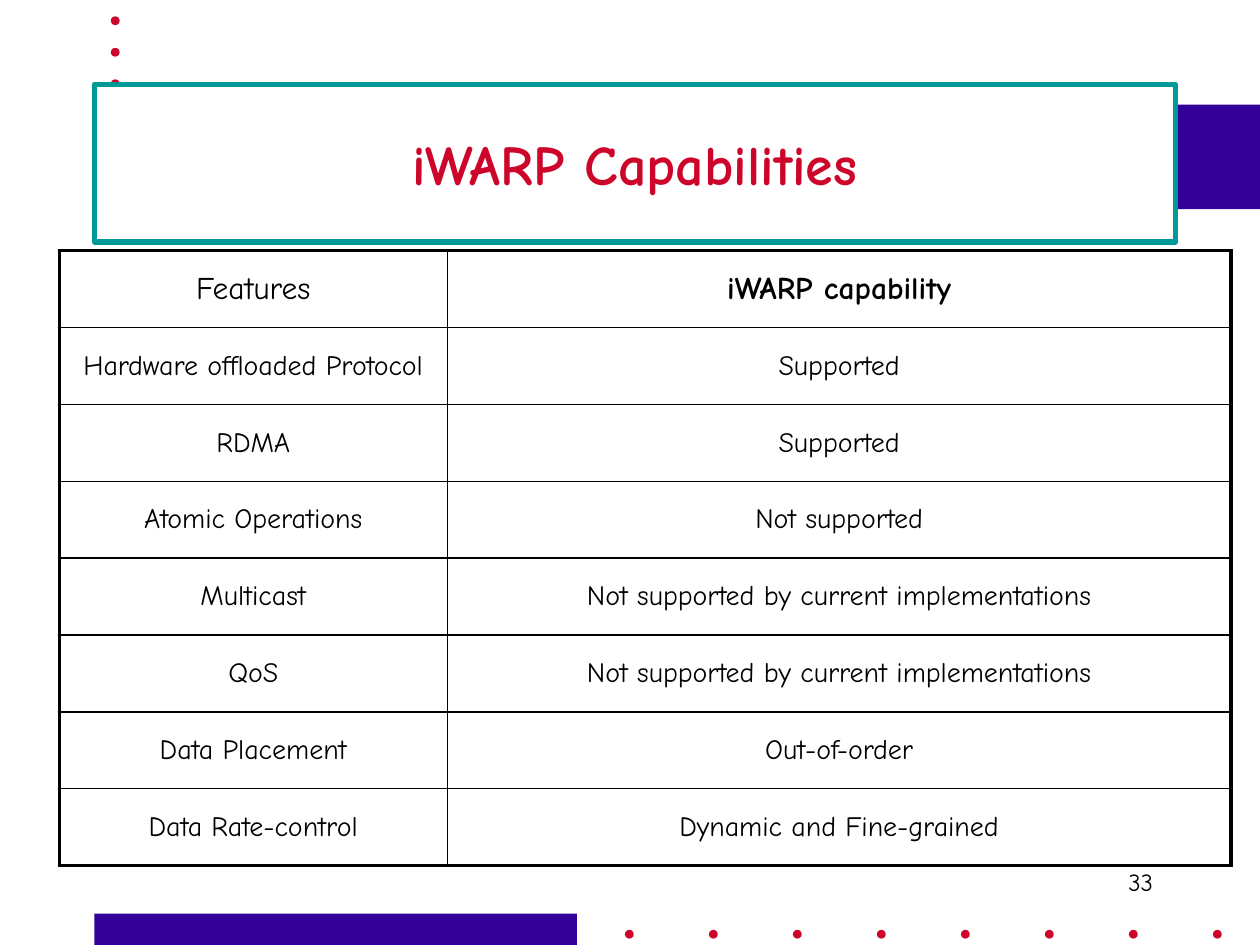
from lxml.etree import SubElement
from pptx import Presentation
from pptx.dml.color import RGBColor
from pptx.enum.shapes import MSO_SHAPE as Shape
from pptx.enum.text import MSO_ANCHOR as Anchor, PP_ALIGN as Align
from pptx.oxml.ns import qn
from pptx.util import Inches, Pt

INDIGO, RED, TEAL = "330099", "CD052B", "009999"
BLACK, WHITE = "000000", "FFFFFF"
FEATURES = [
    ("Features", "iWARP capability"),
    ("Hardware offloaded Protocol", "Supported"),
    ("RDMA", "Supported"),
    ("Atomic Operations", "Not supported"),
    ("Multicast", "Not supported by current implementations"),
    ("QoS", "Not supported by current implementations"),
    ("Data Placement", "Out-of-order"),
    ("Data Rate-control", "Dynamic and Fine-grained"),
]


def color(value):
    return RGBColor.from_string(value)


class SlideBuilder:
    font = "Comic Neue"
    thin, thick = 1, 2.25

    def __init__(self, page):
        self.page = page

    def add_text(self, frame, text, size, ink=BLACK, bold=False, align=Align.CENTER):
        para = frame.paragraphs[0]
        para.alignment = align
        span = para.add_run()
        span.text = text
        span.font.name = self.font
        span.font.size = Pt(size)
        span.font.bold = bold
        span.font.color.rgb = color(ink)

    def shape(self, kind, left, top, width, height, fill, line=None, weight=0):
        box = self.page.shapes.add_shape(
            kind, Inches(left), Inches(top), Inches(width), Inches(height))
        box.shadow.inherit = False
        box.fill.solid()
        box.fill.fore_color.rgb = color(fill)
        if line:
            box.line.color.rgb = color(line)
            box.line.width = Pt(weight)
        else:
            box.line.fill.background()
        return box

    def bar(self, left, top, width, height):
        self.shape(Shape.RECTANGLE, left, top, width, height, INDIGO)

    def dots(self, left, top, count, step_x=0, step_y=0):
        for i in range(count):
            self.shape(Shape.OVAL, left + i * step_x, top + i * step_y,
                       0.07, 0.07, RED)

    def title(self, text, left, top, width, height):
        box = self.shape(Shape.RECTANGLE, left, top, width, height, WHITE, TEAL, 3)
        frame = box.text_frame
        frame.word_wrap = True
        frame.vertical_anchor = Anchor.MIDDLE
        self.add_text(frame, text, 32, RED, bold=True)

    def page_number(self, text, left, top, width, height):
        box = self.page.shapes.add_textbox(
            Inches(left), Inches(top), Inches(width), Inches(height))
        box.text_frame.word_wrap = True
        self.add_text(box.text_frame, text, 14, align=Align.RIGHT)

    def borders(self, cell, outer_sides):
        """Draw all four cell edges, heavier where they form the table outline."""
        properties = cell._tc.get_or_add_tcPr()
        for i, side in enumerate("LRTB"):
            weight = self.thick if side in outer_sides else self.thin
            line = SubElement(properties, qn(f"a:ln{side}"), w=str(Pt(weight)))
            fill = SubElement(line, qn("a:solidFill"))
            SubElement(fill, qn("a:srgbClr"), val=BLACK)
            properties.insert(i, line)

    def table(self, rows, left, top, widths, row_height):
        last_row, last_col = len(rows) - 1, len(widths) - 1
        table = self.page.shapes.add_table(
            len(rows), len(widths), Inches(left), Inches(top),
            Inches(sum(widths)), Inches(row_height * len(rows))).table
        table.first_row = table.horz_banding = False
        for column, width in zip(table.columns, widths):
            column.width = Inches(width)
        for r, texts in enumerate(rows):
            table.rows[r].height = Inches(row_height)
            for c, text in enumerate(texts):
                cell = table.cell(r, c)
                cell.fill.background()
                cell.vertical_anchor = Anchor.MIDDLE
                cell.margin_left = cell.margin_right = Inches(0.1)
                cell.margin_top = cell.margin_bottom = 0
                edges = {"L": c == 0, "R": c == last_col,
                         "T": r == 0, "B": r == last_row}
                self.borders(cell, [side for side, outer in edges.items() if outer])
                self.add_text(cell.text_frame, text, 18 if r == 0 else 16,
                              bold=r == 0 and c == 1)


def main():
    deck = Presentation()
    deck.slide_width, deck.slide_height = Inches(10), Inches(7.5)
    slide = SlideBuilder(deck.slides.add_slide(deck.slide_layouts[6]))
    slide.bar(0.75, 7.25, 3.83, 0.25)
    slide.dots(4.96, 7.38, 8, step_x=2 / 3)
    slide.bar(0.83, 0.83, 9.17, 0.83)
    slide.dots(0.88, 0.13, 3, step_y=0.25)
    slide.page_number("33", 7.17, 6.83, 2.08, 0.5)
    slide.title("iWARP Capabilities", 0.75, 0.67, 8.58, 1.25)
    slide.table(FEATURES, 0.47, 1.99, (3.08, 6.22), 0.61)
    deck.save("out.pptx")


if __name__ == "__main__":
    main()
